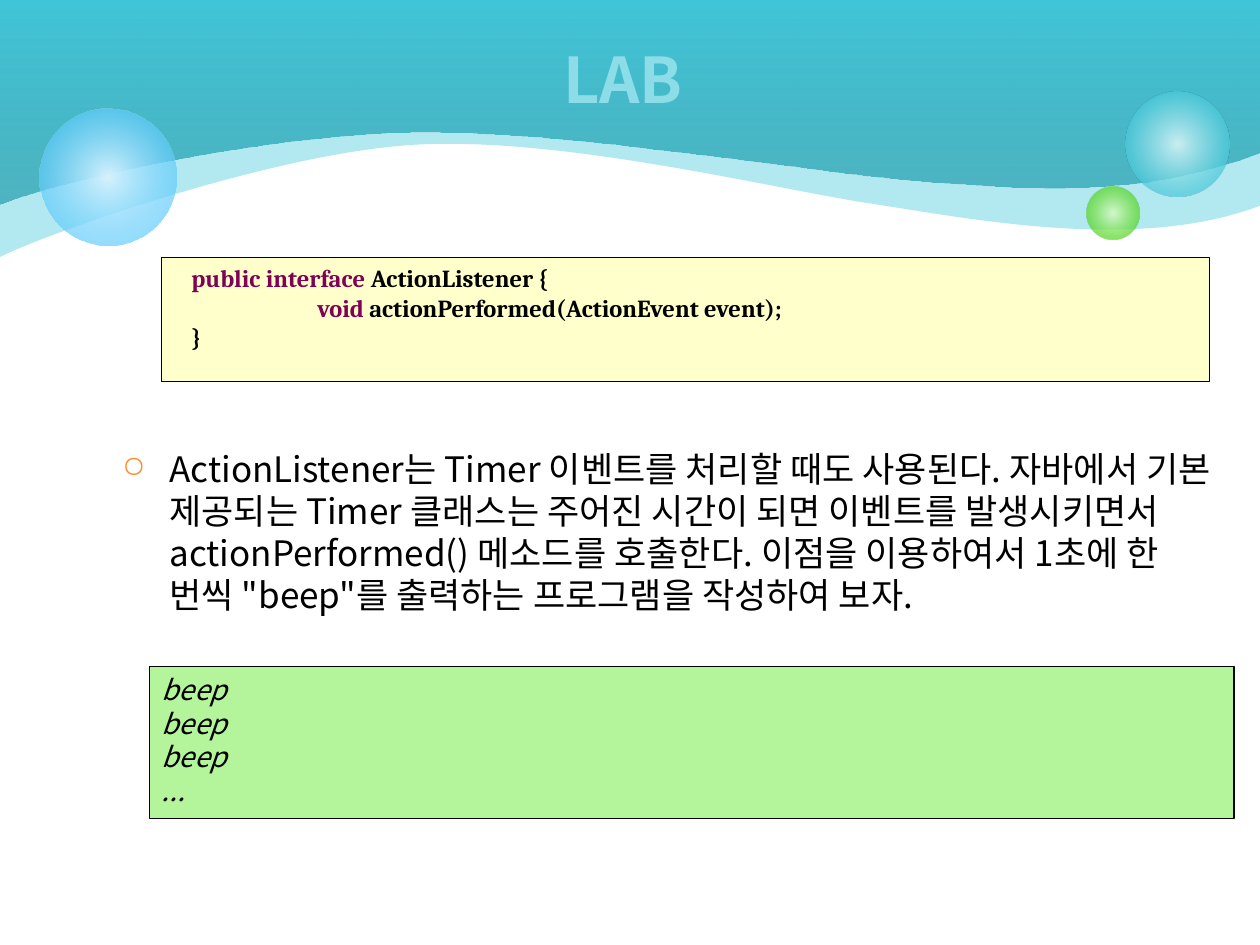
from lxml import etree
from pptx import Presentation
from pptx.dml.color import RGBColor
from pptx.enum.shapes import MSO_SHAPE
from pptx.enum.text import MSO_ANCHOR, MSO_AUTO_SIZE, PP_ALIGN
from pptx.oxml.ns import qn
from pptx.util import Pt

RECT, OVAL = MSO_SHAPE.RECTANGLE, MSO_SHAPE.OVAL
TOP, MIDDLE = MSO_ANCHOR.TOP, MSO_ANCHOR.MIDDLE
LEFT, CENTER = PP_ALIGN.LEFT, PP_ALIGN.CENTER
NO_FIT = MSO_AUTO_SIZE.NONE
SANS, SERIF, SYMBOL = "Noto Sans CJK KR", "Cambria", "OpenSymbol"
BLACK, KEYWORD = "000000", "7F0055"

# Bezier segments (two controls and an end), in points from the wave's corner
BACK_WAVE = [
    ((0, 38.9), (0, 108), (0, 146.9)),
    ((23.8, 134.6), (154.1, 87.8), (236.2, 82.8)),
    ((319, 77.8), (436.3, 106.6), (494.6, 115.9)),
    ((553, 124.6), (649.4, 144.7), (720.5, 117.4))]
FRONT_WAVE = [
    ((0, 38.9), (0, 77.8), (0, 116.9)),
    ((32.4, 103.7), (146.2, 77.8), (234.7, 75.6)),
    ((323.3, 73.4), (473.8, 100.1), (530.6, 103.7)),
    ((587.5, 107.3), (649.4, 114.5), (720.5, 87.1))]


def rgb(color):
    return RGBColor.from_string(color)


def sub(parent, tag, **attrs):
    return etree.SubElement(parent, qn(tag), {k: str(v) for k, v in attrs.items()})


def gradient(sp, stops, angle=None):
    """Fill with (position, colour, opacity) stops: linear, or radial without an angle."""
    sp.fill.background()
    old = sp.element.spPr.find(qn("a:noFill"))
    grad = etree.Element(qn("a:gradFill"), rotWithShape="1")
    old.getparent().replace(old, grad)
    stop_list = sub(grad, "a:gsLst")
    for pos, color, alpha in stops:
        stop = sub(stop_list, "a:gs", pos=pos * 1000)
        sub(sub(stop, "a:srgbClr", val=color), "a:alpha", val=alpha * 1000)
    if angle is None:
        center = sub(grad, "a:path", path="circle")
        sub(center, "a:fillToRect", l=50000, t=50000, r=50000, b=50000)
    else:
        sub(grad, "a:lin", ang=angle * 60000, scaled=0)


def add_wave(slide, x, y, curves, width):
    """Outline through the curve ends, whose lines are then bent into curves."""
    ends = [curve[-1] for curve in curves] + [(width, 0), (0, 0)]
    builder = slide.shapes.build_freeform(Pt(x), Pt(y))
    builder.add_line_segments([(Pt(x + px), Pt(y + py)) for px, py in ends], close=True)
    sp = builder.convert_to_shape()
    for line, curve in zip(list(sp.element.iter(qn("a:lnTo"))), curves):
        bend = etree.Element(qn("a:cubicBezTo"))
        for px, py in curve:
            sub(bend, "a:pt", x=int(Pt(px)), y=int(Pt(py)))
        line.getparent().replace(line, bend)
    sp.shadow.inherit = False
    sp.line.fill.background()
    return sp


def add_bubble(slide, box, stops):
    sp = slide.shapes.add_shape(OVAL, *map(Pt, box))
    sp.shadow.inherit = False
    sp.line.fill.background()
    gradient(sp, stops)


def add_header(slide, box):
    x, y, w, h = box
    gradient(add_wave(slide, x, y, BACK_WAVE, w),
             [(0, "40C6D8", 40), (100, "40C6D8", 40)], 270)
    gradient(add_wave(slide, x, y, FRONT_WAVE, w),
             [(0, "249EAE", 69), (100, "40C6D8", 100)], 270)
    # Bubbles: left, top, diameter
    for left, top, size, stops in [
            (643, 52.5, 59.8, [(0, "D9F4F7", 90), (76, "40C6D8", 70), (100, "40C6D8", 70)]),
            (620.7, 106.5, 30.4, [(0, "DAFACD", 90), (76, "4CD416", 70), (100, "4CD416", 70)]),
            (22.5, 62, 78.5, [(0, "D6F2FE", 100), (100, "33BDFB", 54)])]:
        add_bubble(slide, (x + left, y + top, size, size), stops)


def add_run(p, text, size, color, font=SANS, bold=False, italic=False):
    r = p.add_run()
    r.text = text
    f = r.font
    f.size, f.name, f.bold, f.italic = Pt(size), font, bold, italic
    f.color.rgb = rgb(color)
    sub(r._r.get_or_add_rPr(), "a:ea", typeface=font)


def place(sp, box, anchor):
    """Put a placeholder in its box, in front of what is already there."""
    sp.left, sp.top, sp.width, sp.height = map(Pt, box)
    sp.element.getparent().append(sp.element)
    tf = sp.text_frame
    tf.auto_size, tf.vertical_anchor, tf.word_wrap = NO_FIT, anchor, True
    return tf.paragraphs[0]


def add_title(slide, box):
    p = place(slide.shapes.title, box, MIDDLE)
    p.alignment = CENTER
    add_run(p, "LAB ", 36, "8CDDE8", bold=True)


def add_body(slide, box):
    p = place(slide.placeholders[1], box, TOP)
    p.alignment = LEFT
    p.line_spacing, p.space_before = Pt(24), Pt(4)
    pPr = p._p.get_or_add_pPr()
    pPr.set("marL", str(Pt(27)))
    pPr.set("indent", str(Pt(-27)))
    sub(sub(pPr, "a:buClr"), "a:srgbClr", val="FE8C2E")
    sub(pPr, "a:buSzPct", val=85000)
    sub(pPr, "a:buFont", typeface=SYMBOL)
    sub(pPr, "a:buChar", char="○")
    add_run(p, "ActionListener는 Timer 이벤트를 처리할 때도 사용된다. 자바에서 기본 제공되는 "
               "Timer 클래스는 주어진 시간이 되면 이벤트를 발생시키면서 actionPerformed() "
               "메소드를 호출한다. 이점을 이용하여서 1초에 한 번씩 \"beep\"를 출력하는 "
               "프로그램을 작성하여 보자.", 20, BLACK)


def add_panel(slide, box, fill, lines, size, spacing, indent=0, **style):
    """Framed box; each line is a list of (text, colour) runs."""
    sp = slide.shapes.add_shape(RECT, *map(Pt, box))
    sp.shadow.inherit = False
    sp.fill.solid()
    sp.fill.fore_color.rgb = rgb(fill)
    sp.line.color.rgb = rgb(BLACK)
    sp.line.width = Pt(0.75)
    tf = sp.text_frame
    tf.word_wrap, tf.vertical_anchor = True, TOP
    for i, runs in enumerate(lines):
        p = tf.add_paragraph() if i else tf.paragraphs[0]
        p.alignment, p.line_spacing = LEFT, Pt(spacing)
        pPr = p._p.get_or_add_pPr()
        pPr.set("marL", str(Pt(indent)))
        if runs[0][0] == "\t":
            sub(sub(pPr, "a:tabLst"), "a:tab", pos=int(Pt(72)), algn="l")
        for text, color in runs:
            add_run(p, text, size, color, **style)


def main():
    prs = Presentation()
    prs.slide_width, prs.slide_height = Pt(720), Pt(540)
    slide = prs.slides.add_slide(prs.slide_layouts[1])
    add_header(slide, (0, 0, 720.5, 146.9))
    add_title(slide, (36, 0, 648, 90))
    # Interface code
    add_panel(slide, (92.2, 147, 599, 70.9), "FFFFCC", [
        [("public interface", KEYWORD), (" ActionListener {", BLACK)],
        [("\t", BLACK), ("void", KEYWORD),
         (" actionPerformed(ActionEvent event);", BLACK)],
        [("}", BLACK)]], 14, 16.8, indent=10, font=SERIF, bold=True)
    add_body(slide, (62.6, 252, 648, 204.5))
    # Program output
    add_panel(slide, (85.3, 380.9, 619.8, 87), "B4F59B",
              [[(word, BLACK)] for word in ("beep", "beep", "beep", "...")],
              16, 19.2, italic=True)
    prs.save("out.pptx")


if __name__ == "__main__":
    main()
